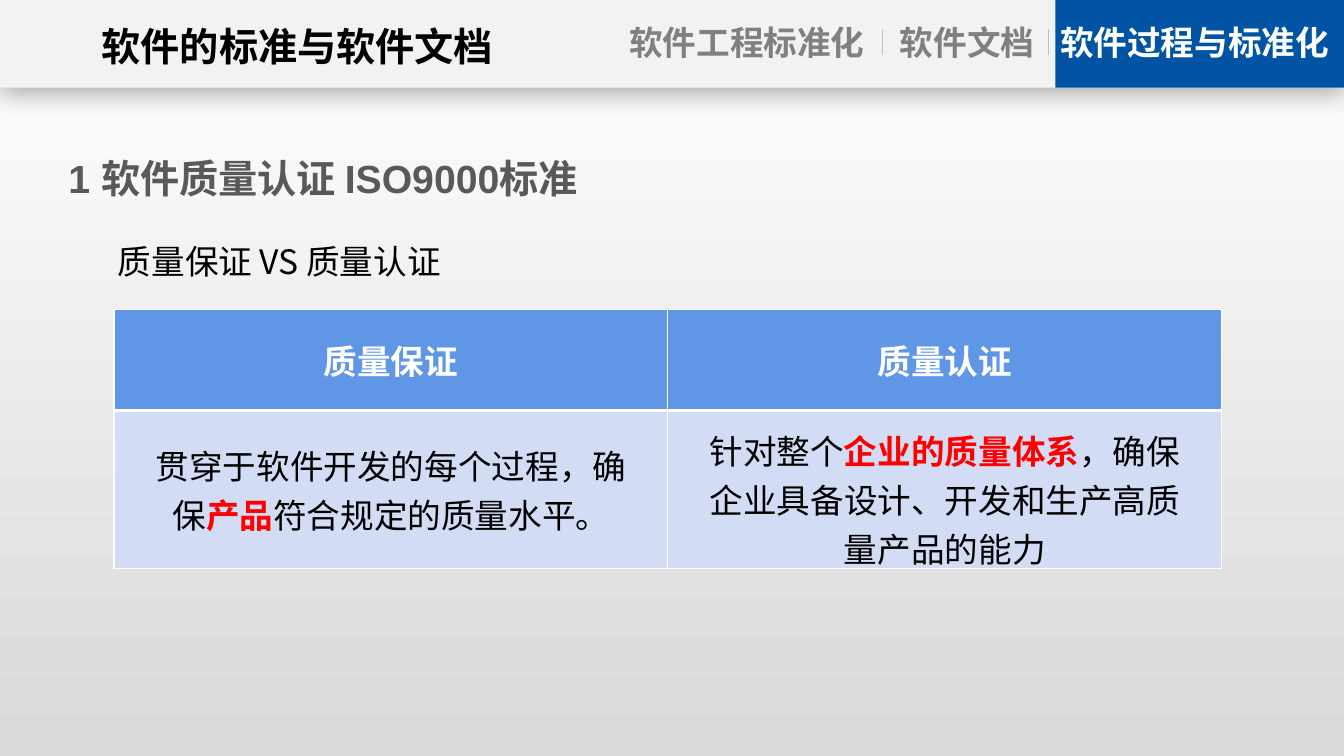
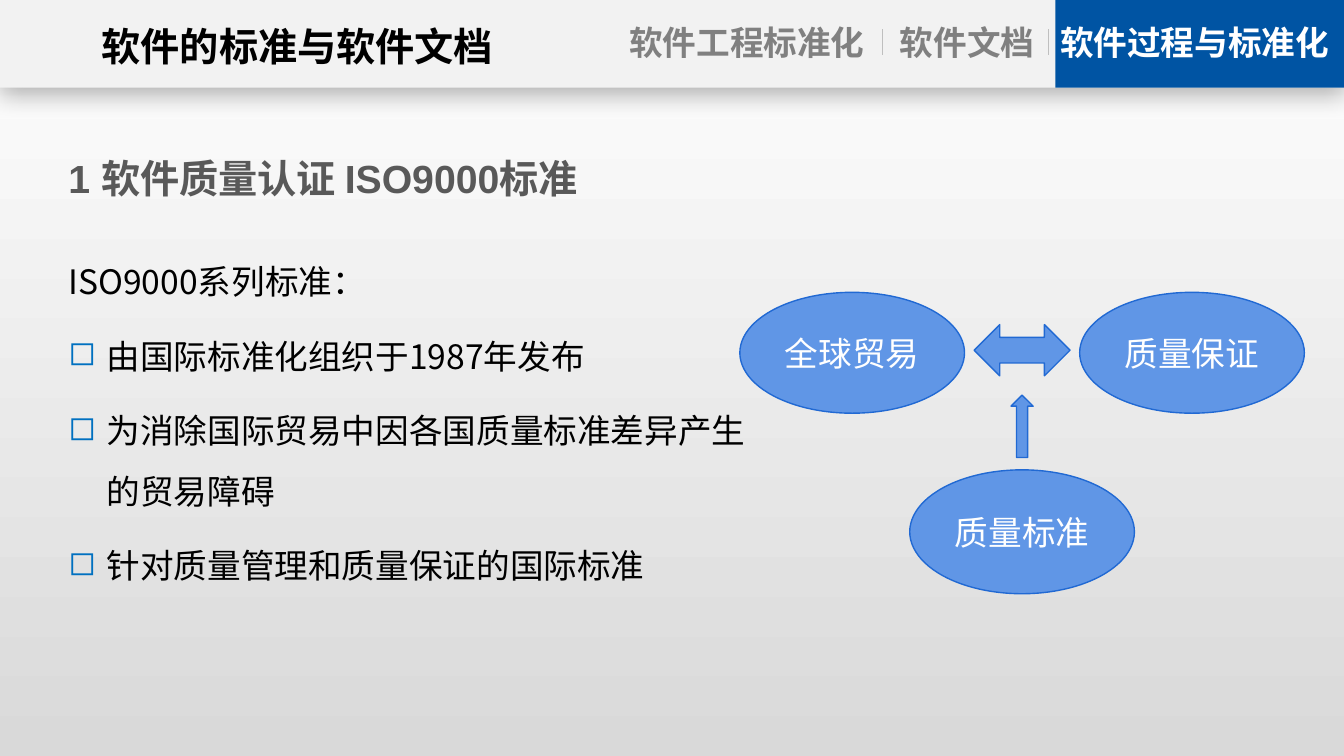
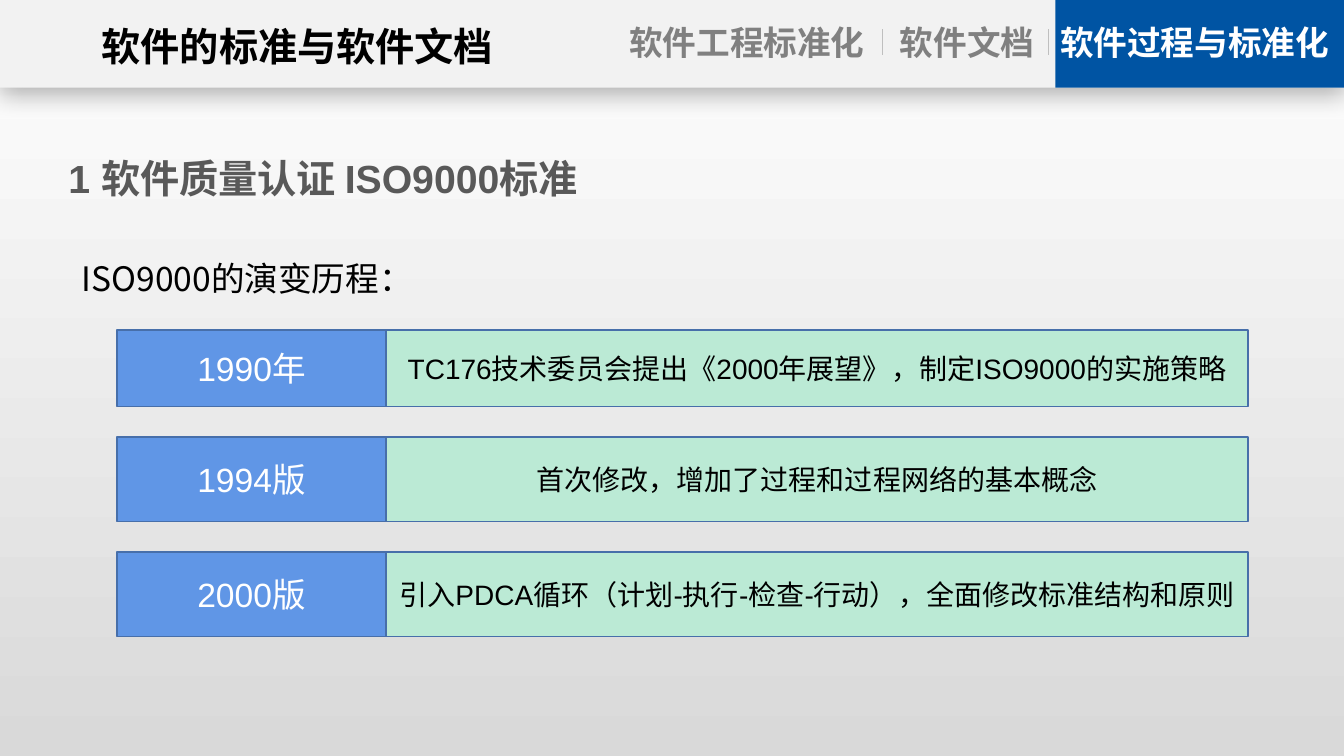
from dataclasses import dataclass

from lxml import etree
from pptx import Presentation, util as u
from pptx.dml.color import RGBColor
from pptx.enum import shapes, text
from pptx.oxml import ns

FORM = shapes.MSO_SHAPE
ALIGN = text.PP_ALIGN
MIDDLE = text.MSO_ANCHOR.MIDDLE


class Theme:
    latin, cjk = "Arial", "Noto Sans CJK SC"
    heading_size, body_size, detail_size = 28, 24, 20
    black, white, red = "000000", "FFFFFF", "FF0000"
    band, divider, active_tab = "F2F2F2", "BFBFBF", "0054A3"
    idle_text, heading_text, bullet = "808080", "595959", "0070C0"
    blue, blue_edge = "6096E6", "2169D3"
    pale_blue, mint, timeline_edge = "D2DDF5", "BBEAD5", "476FAA"
    background = ("FFFFFF", "D9D9D9")


@dataclass
class Box:
    left: float
    top: float
    width: float
    height: float

    def inner(self, left, top, width, height):
        """Box inside this one, given in percent of its width and height."""
        return Box(self.left + self.width * left / 100, self.top + self.height * top / 100,
                   self.width * width / 100, self.height * height / 100)

    @property
    def place(self):
        return [u.Inches(side) for side in (self.left, self.top, self.width, self.height)]


SLIDE = Box(0, 0, 13.33, 7.5)


def rgb(colour):
    return RGBColor.from_string(colour)


def add_xml(parent, tag, **attributes):
    return etree.SubElement(parent, ns.qn(tag), attributes)


def style(para, size, colour, bold=False, latin=Theme.latin, align=ALIGN.CENTER):
    para.alignment = align
    font = para.font
    font.size, font.bold, font.name = u.Pt(size), bold, latin
    font.color.rgb = rgb(colour)
    add_xml(para._p.pPr.find(ns.qn("a:defRPr")), "a:ea", typeface=Theme.cjk)


def add_text(page, box, words, size, colour, side_inset=0, anchor=None, **looks):
    """Text box with one paragraph; returns its frame."""
    frame = page.shapes.add_textbox(*box.place).text_frame
    frame.word_wrap = True
    frame.margin_left = frame.margin_right = u.Inches(side_inset)
    if anchor is not None:
        frame.vertical_anchor = anchor
    frame.text = words
    style(frame.paragraphs[0], size, colour, **looks)
    return frame


def add_body(page, box, words):
    frame = add_text(page, box, words, Theme.body_size, Theme.black, side_inset=0.1,
                     latin=Theme.cjk, align=ALIGN.LEFT)
    frame.paragraphs[0].space_after = u.Pt(10)
    return frame


def add_form(page, form, box, fill, edge=None, words="", size=Theme.body_size,
             colour=Theme.white):
    shape = page.shapes.add_shape(form, *box.place)
    shape.shadow.inherit = False
    shape.fill.solid()
    shape.fill.fore_color.rgb = rgb(fill)
    if edge:
        shape.line.color.rgb = rgb(edge)
        shape.line.width = u.Pt(1)
    else:
        shape.line.fill.background()
    if words:
        shape.text_frame.text = words
        shape.text_frame.vertical_anchor = MIDDLE
        style(shape.text_frame.paragraphs[0], size, colour)
    return shape


def add_divider(page, box):
    left, top, _, height = box.place
    line = page.shapes.add_connector(shapes.MSO_CONNECTOR.STRAIGHT, left, top, left, top + height)
    line.line.color.rgb = rgb(Theme.divider)
    line.line.width = u.Pt(0.5)
    add_xml(line._element.spPr, "a:effectLst")


def add_header(page, box):
    band = add_form(page, FORM.RECTANGLE, box, Theme.band)
    effects = band._element.spPr.find(ns.qn("a:effectLst"))
    shadow = add_xml(effects, "a:outerShdw", blurRad=str(u.Pt(18)), dist=str(u.Pt(4)),
                     dir="5400000", algn="t", rotWithShape="0")
    add_xml(add_xml(shadow, "a:srgbClr", val=Theme.black), "a:alpha", val="29000")
    add_form(page, FORM.RECTANGLE, box.inner(78.52, 0, 21.48, 100), Theme.active_tab)
    for left in (65.62, 78):
        add_divider(page, box.inner(left, 33.3, 0, 30))
    add_text(page, box.inner(4.35, 19.5, 35.55, 65.5), "软件的标准与软件文档",
             Theme.heading_size, Theme.black, bold=True)
    tabs = [("软件工程标准化", 46.27, 18.6, Theme.idle_text),
            ("软件文档", 66.45, 11.02, Theme.idle_text),
            ("软件过程与标准化", 78.53, 20.7, Theme.white)]
    for words, left, width, colour in tabs:
        add_text(page, box.inner(left, 19.5, width, 58.6), words, Theme.body_size, colour,
                 bold=True)


def add_page(deck):
    """Blank page with the shared header and heading."""
    page = deck.slides.add_slide(deck.slide_layouts[6])
    add_header(page, SLIDE.inner(0, 0, 100, 11.6))
    add_text(page, SLIDE.inner(4.35, 18.4, 90, 10.27), "1 软件质量认证 ISO9000标准",
             Theme.heading_size, Theme.heading_text, side_inset=0.1, anchor=MIDDLE,
             bold=True, align=ALIGN.LEFT)
    return page


def set_borders(cell, bottom):
    properties = cell._tc.get_or_add_tcPr()
    for index, (tag, points) in enumerate(
            [("a:lnL", 1), ("a:lnR", 1), ("a:lnT", 1), ("a:lnB", bottom)]):
        line = etree.Element(ns.qn(tag), w=str(u.Pt(points)))
        add_xml(add_xml(line, "a:solidFill"), "a:srgbClr", val=Theme.white)
        properties.insert(index, line)


def fill_cell(cell, spans, is_header):
    """Write spans of (words, stressed) into a cell."""
    cell.fill.solid()
    cell.fill.fore_color.rgb = rgb(Theme.blue if is_header else Theme.pale_blue)
    cell.vertical_anchor = MIDDLE
    if not is_header:
        cell.margin_left = cell.margin_right = u.Inches(0.39)
        cell.margin_top = cell.margin_bottom = u.Inches(0.15)
    para = cell.text_frame.paragraphs[0]
    style(para, Theme.body_size, Theme.white if is_header else Theme.black, bold=is_header)
    for words, stressed in spans:
        span = para.add_run()
        span.text = words
        if stressed:
            span.font.bold = True
            span.font.color.rgb = rgb(Theme.red)
    set_borders(cell, bottom=3 if is_header else 1)


def add_comparison(page, box):
    rows = [
        [[("质量保证", False)], [("质量认证", False)]],
        [[("贯穿于软件开发的每个过程，确保", False), ("产品", True),
          ("符合规定的质量水平。", False)],
         [("针对整个", False), ("企业的质量体系", True),
          ("，确保企业具备设计、开发和生产高质量产品的能力", False)]],
    ]
    table = page.shapes.add_table(2, 2, *box.place).table
    for row, share in zip(table.rows, (0.39, 0.61)):
        row.height = u.Inches(box.height * share)
    for row, contents in enumerate(rows):
        for column, spans in enumerate(contents):
            fill_cell(table.cell(row, column), spans, is_header=row == 0)


def add_bullets(frame, items):
    for words in items:
        para = frame.add_paragraph()
        para.text = words
        para.line_spacing = 1.5
        para.space_after = u.Pt(10)
        style(para, Theme.body_size, Theme.black, latin=Theme.cjk, align=ALIGN.LEFT)
        properties = para._p.pPr
        indent = u.Inches(0.38)
        properties.set("marL", str(indent))
        properties.set("indent", str(-indent))
        colour = etree.Element(ns.qn("a:buClr"))
        add_xml(colour, "a:srgbClr", val=Theme.bullet)
        font_defaults = properties.find(ns.qn("a:defRPr"))
        font_defaults.addprevious(colour)
        font_defaults.addprevious(etree.Element(ns.qn("a:buChar"), char="◻"))


def add_trade_diagram(page, box):
    forms = [(FORM.OVAL, (0, 0, 39.8, 40.1), "全球贸易"),
             (FORM.OVAL, (60.2, 0, 39.8, 40.1), "质量保证"),
             (FORM.LEFT_RIGHT_ARROW, (41.5, 10.7, 17, 17), ""),
             (FORM.UP_ARROW, (48.04, 34.1, 3.92, 20.7), ""),
             (FORM.OVAL, (30.1, 58.9, 39.8, 41.1), "质量标准")]
    for form, shares, words in forms:
        add_form(page, form, box.inner(*shares), Theme.blue, Theme.blue_edge, words)


def add_timeline(page, box):
    label_width, gap, top = 23.8, 9.9, 0
    entries = [("1990年", "TC176技术委员会提出《2000年展望》，制定ISO9000的实施策略", 25),
               ("1994版", "首次修改，增加了过程和过程网络的基本概念", 27.6),
               ("2000版", "引入PDCA循环（计划-执行-检查-行动），全面修改标准结构和原则", 27.6)]
    for label, detail, height in entries:
        add_form(page, FORM.RECTANGLE, box.inner(0, top, label_width, height),
                 Theme.blue, Theme.timeline_edge, label)
        add_form(page, FORM.RECTANGLE, box.inner(label_width, top, 100 - label_width, height),
                 Theme.mint, Theme.timeline_edge, detail, Theme.detail_size, Theme.black)
        top += height + gap


def comparison_page(deck):
    page = add_page(deck)
    add_body(page, SLIDE.inner(8.03, 31.2, 63.75, 12.67), "质量保证 VS 质量认证")
    add_comparison(page, SLIDE.inner(8.48, 40.93, 82.43, 34.27))


def standards_page(deck):
    page = add_page(deck)
    frame = add_body(page, SLIDE.inner(4.35, 33.87, 52.28, 49.87), "ISO9000系列标准：")
    add_bullets(frame, ["由国际标准化组织于1987年发布",
                        "为消除国际贸易中因各国质量标准差异产生的贸易障碍",
                        "针对质量管理和质量保证的国际标准"])
    add_trade_diagram(page, SLIDE.inner(55.05, 38.67, 42, 39.87))


def history_page(deck):
    page = add_page(deck)
    add_body(page, SLIDE.inner(5.33, 33.47, 50.55, 7.6), "ISO9000的演变历程：")
    add_timeline(page, SLIDE.inner(8.7, 43.65, 84.15, 40.53))


def set_background(deck):
    fill = deck.slide_master.background.fill
    fill.gradient()
    fill.gradient_angle = 270
    for stop, position, colour in zip(fill.gradient_stops, (0, 1), Theme.background):
        stop.position = position
        stop.color.rgb = rgb(colour)


def main():
    deck = Presentation()
    deck.slide_width, deck.slide_height = SLIDE.place[2:]
    set_background(deck)
    for build in (comparison_page, standards_page, history_page):
        build(deck)
    deck.save("out.pptx")


if __name__ == "__main__":
    main()
